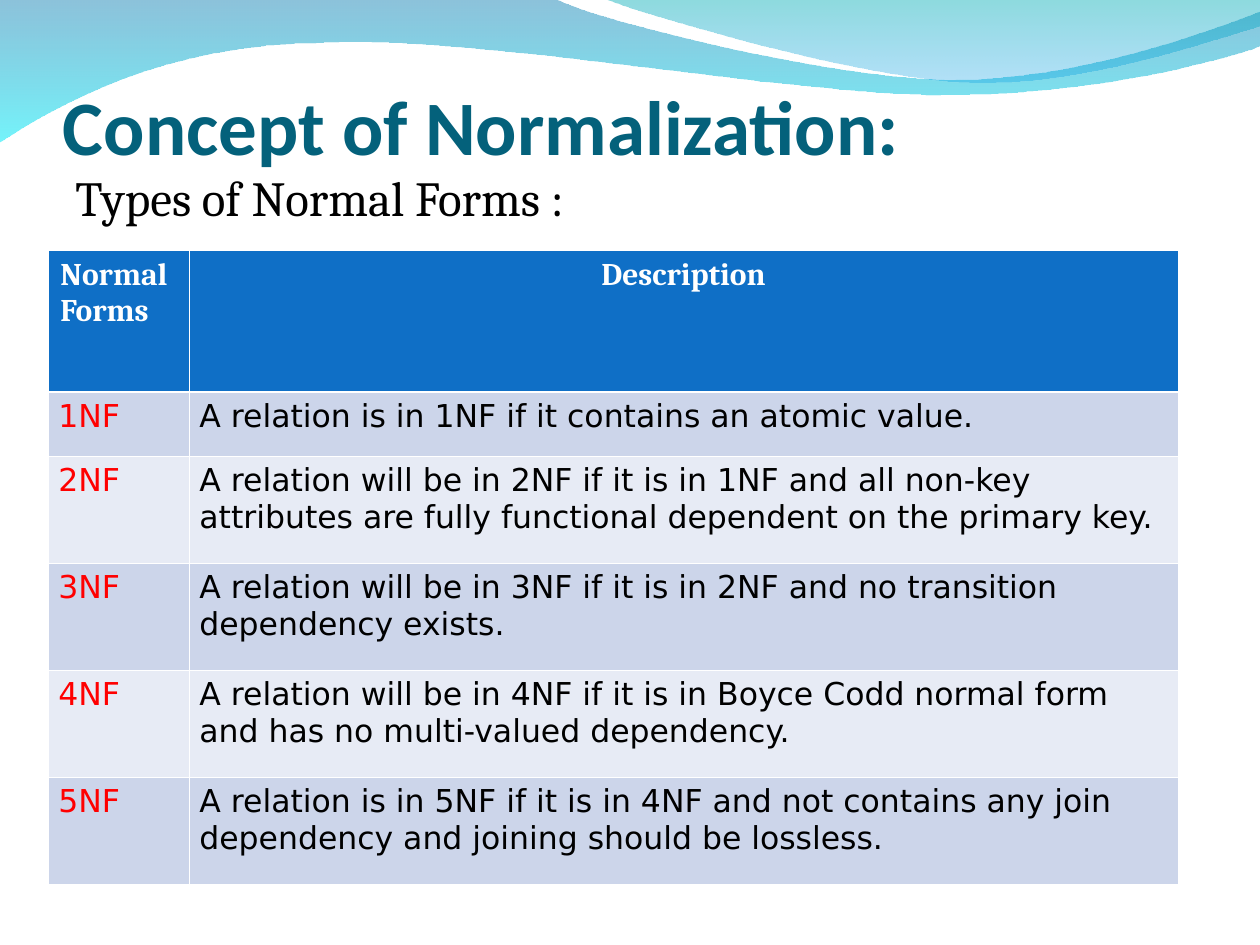
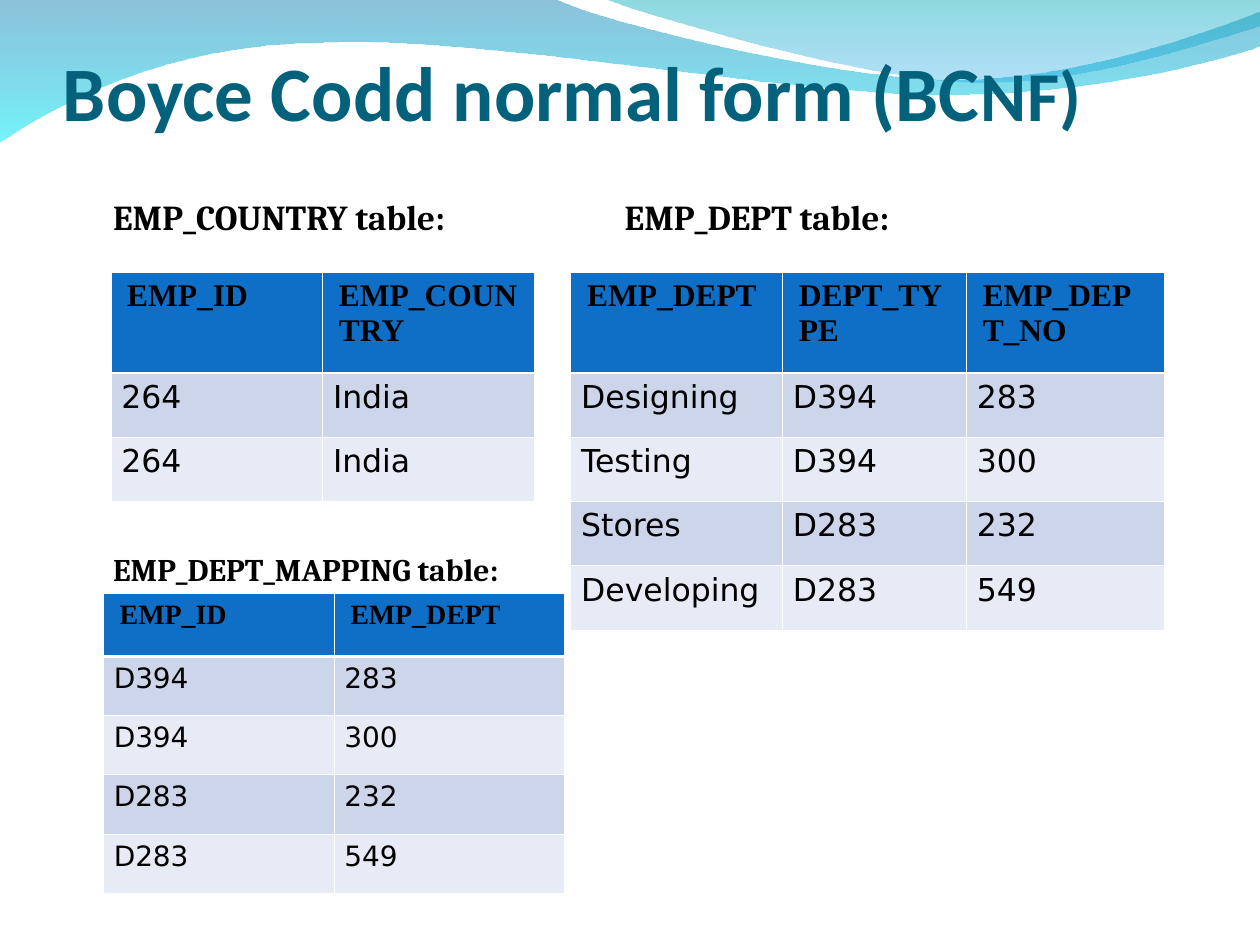
from lxml import etree
from pptx import Presentation
from pptx.dml.color import RGBColor
from pptx.enum.text import MSO_ANCHOR, PP_ALIGN
from pptx.oxml.ns import qn
from pptx.util import Inches, Pt

BOTTOM = MSO_ANCHOR.BOTTOM
LEFT, CENTER = PP_ALIGN.LEFT, PP_ALIGN.CENTER

HEX = {
    "title": "04617B", "text": "000000", "white": "FFFFFF", "key": "FF0000",
    "head": "0F6FC6", "odd": "CCD5EA", "even": "E7EBF5",
}
THIN, THICK = 0.45, 1.47

# Each wave: start, steps of one point (line) or three (curve), gradient stops
WAVES = [
    ((0, -0.01),
     [[(4.4, -0.01)],
      [(4.76, 0.17), (6.64, 0.63), (7.58, 0.63)],
      [(8.53, 0.63), (9.58, 0.26), (10, 0.09)],
      [(10.01, 0.36)],
      [(9.83, 0.44), (8.7, 0.76), (7.46, 0.75)],
      [(6.22, 0.75), (3.82, 0.28), (2.57, 0.34)],
      [(1.29, 0.35), (0.46, 0.83), (-0.01, 1.13)]],
     [("0079AF", 45), ("00EBF8", 55)]),
    ((4.79, -0.01),
     [[(5.09, 0.11), (6.82, 0.62), (7.69, 0.65)],
      [(8.56, 0.69), (9.61, 0.32), (10, 0.21)],
      [(10, 0)]],
     [("00ADB6", 45), ("009BE5", 30)]),
]

FORMS = [
    ("Normal Forms", "Description"),
    ("1NF", "A relation is in 1NF if it contains an atomic value."),
    ("2NF", "A relation will be in 2NF if it is in 1NF and all non-key "
            "attributes are fully functional dependent on the primary key."),
    ("3NF", "A relation will be in 3NF if it is in 2NF and no transition "
            "dependency exists."),
    ("4NF", "A relation will be in 4NF if it is in Boyce Codd normal form "
            "and has no multi-valued dependency."),
    ("5NF", "A relation is in 5NF if it is in 4NF and not contains any join "
            "dependency and joining should be lossless."),
]
LANDS = [("EMP_ID", "EMP_COUNTRY"), ("264", "India"), ("264", "India")]
DEPTS = [
    ("EMP_DEPT", "DEPT_TYPE", "EMP_DEPT_NO"),
    ("Designing", "D394", "283"), ("Testing", "D394", "300"),
    ("Stores", "D283", "232"), ("Developing", "D283", "549"),
]
MAPS = [("EMP_ID", "EMP_DEPT"), ("D394", "283"), ("D394", "300"),
        ("D283", "232"), ("D283", "549")]


def style(font, color, size, **form):
    font.color.rgb = RGBColor.from_string(HEX[color])
    for name, value in {"size": Pt(size), **form}.items():
        setattr(font, name, value)


def inset(item, left, top, right, bottom):
    sides = {"left": left, "top": top, "right": right, "bottom": bottom}
    for side, size in sides.items():
        setattr(item, f"margin_{side}", Inches(size))


def bend(shape, steps):
    """Turn the lines of three-point steps into cubic curves."""
    lines = list(shape._element.iter(qn("a:lnTo")))
    for line, step in zip(lines, steps):
        if len(step) == 3:
            cubic = etree.Element(qn("a:cubicBezTo"))
            for x, y in step:
                etree.SubElement(cubic, qn("a:pt"),
                                 x=str(Inches(x) - shape.left),
                                 y=str(Inches(y) - shape.top))
            line.getparent().replace(line, cubic)


def wave(slide, start, steps, stops):
    build = slide.shapes.build_freeform(*map(Inches, start))
    ends = [tuple(map(Inches, step[-1])) for step in steps]
    build.add_line_segments(ends, close=True)
    shape = build.convert_to_shape()
    bend(shape, steps)
    shape.shadow.inherit = False
    shape.line.fill.background()
    shape.fill.gradient()
    shape.fill.gradient_angle = 270
    for stop, (color, _) in zip(shape.fill.gradient_stops, stops):
        stop.color.rgb = RGBColor.from_string(color)
    # Transparency of each stop
    tints = shape._element.spPr.iter(qn("a:srgbClr"))
    for tint, (_, alpha) in zip(list(tints), stops):
        etree.SubElement(tint, qn("a:alpha"), val=str(alpha * 1000))


def label(slide, box, lines, color="text", margins=(0.1, 0.05, 0.1, 0.05),
          anchor=None, tab=None, gap=0, **form):
    """Add a text box of lines, each a list of (text, size) runs."""
    frame = slide.shapes.add_textbox(*map(Inches, box)).text_frame
    frame.word_wrap = True
    inset(frame, *margins)
    if anchor is not None:
        frame.vertical_anchor = anchor
    for n, runs in enumerate(lines):
        para = frame.add_paragraph() if n else frame.paragraphs[0]
        if n:
            para.space_before = Pt(gap)
        if tab:
            tabs = etree.SubElement(para._p.get_or_add_pPr(), qn("a:tabLst"))
            etree.SubElement(tabs, qn("a:tab"), pos=str(Inches(tab)), algn="l")
        for text, size in runs:
            run = para.add_run()
            run.text = text
            style(run.font, color, size, **form)


def page(deck, top, runs):
    """Add a slide with its waves and title."""
    slide = deck.slides.add_slide(deck.slide_layouts[6])
    for parts in WAVES:
        wave(slide, *parts)
    label(slide, (0.5, top, 9, 0.77), [runs], "title", (0, 0.05, 0, 0), BOTTOM,
          name="Calibri", bold=True)
    return slide


def edge(cell, widths):
    """Draw white cell borders, given in the order L, R, T, B."""
    props = cell._tc.get_or_add_tcPr()
    for side, width in zip("LRTB", widths):
        line = etree.SubElement(props, qn(f"a:ln{side}"), w=str(Pt(width)))
        fill = etree.SubElement(line, qn("a:solidFill"))
        etree.SubElement(fill, qn("a:srgbClr"), val=HEX["white"])


def grid(slide, spot, cols, rows, data, size=18, face="Times New Roman",
         ink="text", pad=0.13, key="text", aligns=(LEFT, LEFT, LEFT)):
    """Add a banded table; face, ink, pad and aligns style its head."""
    box = (*spot, sum(cols), sum(rows))
    table = slide.shapes.add_table(len(rows), len(cols), *map(Inches, box)).table
    for col, width in zip(table.columns, cols):
        col.width = Inches(width)
    for row, height in zip(table.rows, rows):
        row.height = Inches(height)
    for r, line in enumerate(data):
        for c, text in enumerate(line):
            cell = table.cell(r, c)
            edge(cell, (THIN, THIN, THICK if r == 1 else THIN,
                        THICK if r == 0 else THIN))
            cell.fill.solid()
            band = "head" if r == 0 else "odd" if r % 2 else "even"
            cell.fill.fore_color.rgb = RGBColor.from_string(HEX[band])
            side = pad if r == 0 else 1 / 12
            inset(cell, side, 0.05, side, 0.05)
            cell.text = text
            para = cell.text_frame.paragraphs[0]
            font = para.runs[0].font
            if r == 0:
                para.alignment = aligns[c]
                style(font, ink, size, name=face, bold=True)
            else:
                style(font, key if c == 0 else "text", size,
                      name="DejaVu Sans", bold=False)


def forms(deck):
    slide = page(deck, 0.59, [("Concept of Normalization:", 44)])
    label(slide, (0.5, 1.28, 9, 5.63), [[("Types of Normal Forms :", 28)]],
          name="Cambria")
    grid(slide, (0.38, 1.99), (1.12, 7.85), [1.12, 0.51] + [0.85] * 4, FORMS,
         face="Cambria", ink="white", pad=0.1, key="key", aligns=(LEFT, CENTER))


def boyce(deck):
    slide = page(deck, 0.32, [("Boyce Codd normal form (BC", 44), ("NF)", 40)])
    # Table names: two on the first line, one further down
    heads = [[("EMP_COUNTRY table:\tEMP_DEPT table:", 20)],
             [("EMP_DEPT_MAPPING table:", 18)]]
    label(slide, (0.8, 1.5, 8.7, 5.42), heads, tab=4.06, gap=179,
          name="Cambria", bold=True)
    grid(slide, (0.88, 2.16), [1.68] * 2, [0.8] + [0.51] * 2, LANDS)
    grid(slide, (4.53, 2.16), (1.68, 1.46, 1.57), [0.8] + [0.51] * 4, DEPTS)
    grid(slide, (0.82, 4.71), [1.83] * 2, [0.5] + [0.47] * 4, MAPS, size=16)


def main():
    deck = Presentation()
    deck.slide_width, deck.slide_height = Inches(10), Inches(7.5)
    forms(deck)
    boyce(deck)
    deck.save("out.pptx")


if __name__ == "__main__":
    main()
